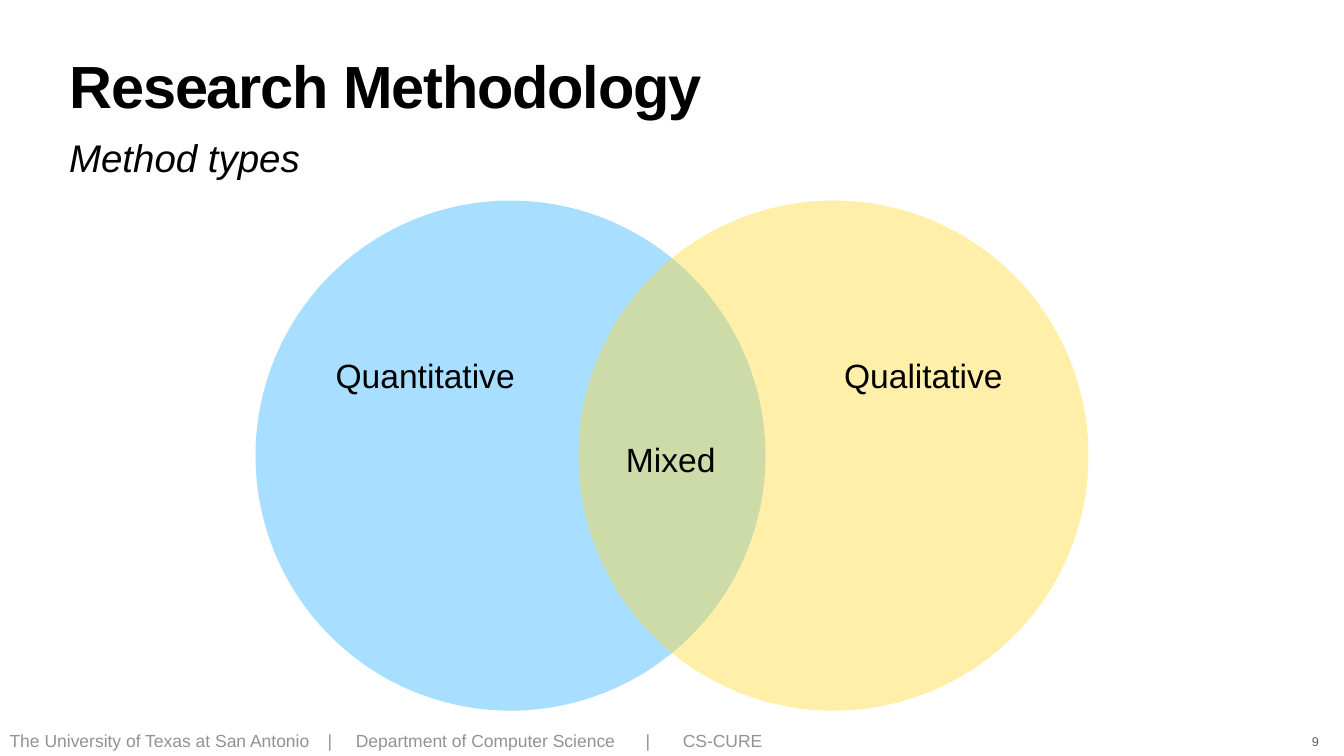
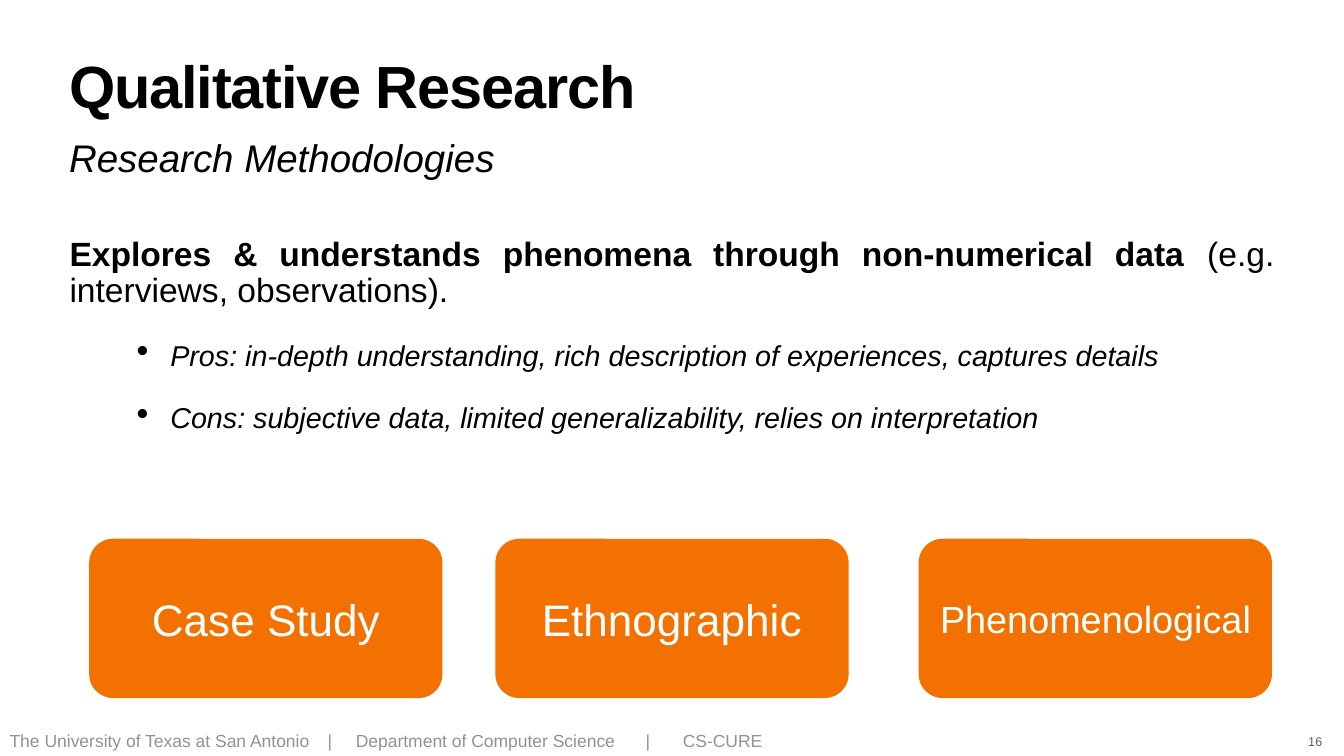
from typing import NamedTuple, Optional

from lxml.etree import SubElement
from pptx import Presentation
from pptx.dml.color import RGBColor
from pptx.enum.shapes import MSO_SHAPE
from pptx.enum.text import MSO_ANCHOR, MSO_AUTO_SIZE, PP_ALIGN
from pptx.oxml.ns import qn
from pptx.util import Inches, Pt

COLORS = {
    "ink": "000000",
    "foot": "929292",
    "page": "5E5E5E",
    "blue": "00A1FF",
    "gold": "FFD932",
    "orange": "F27100",
    "white": "FFFFFF",
}
FONT = "Arial"
LEFT, WIDE = 1.32, 24.03
FOOT = "\t".join(["The University of Texas at San Antonio", "|",
                  "Department of Computer Science", "|", "CS-CURE"])
STOPS = (6.31, 6.87, 12.62, 13.36)


class Box(NamedTuple):
    left: float
    top: float
    width: float
    height: float


class Style(NamedTuple):
    size: float
    color: str = "ink"
    bold: bool = False
    slant: bool = False


class Circle(NamedTuple):
    left: float
    color: str
    alpha: int


class Label(NamedTuple):
    text: str
    box: Box


class Card(NamedTuple):
    left: float
    text: str
    size: float
    box: Optional[Box] = None


CIRCLES = (Circle(5.07, "blue", 34), Circle(11.48, "gold", 42))
LABELS = (
    Label("Quantitative", Box(6.6, 7.06, 3.71, 0.88)),
    Label("Qualitative", Box(16.69, 7.06, 3.27, 0.88)),
    Label("Mixed", Box(12.36, 8.72, 1.95, 0.88)),
)
CARDS = (
    Card(1.77, "Case Study", 63),
    Card(9.83, "Ethnographic", 63, Box(10.56, 11.69, 5.54, 1.16)),
    Card(18.23, "Phenomenological", 54, Box(18.46, 11.76, 6.56, 1.02)),
)
POINTS = (
    "Pros: in-depth understanding, rich description of experiences, captures details",
    "Cons: subjective data, limited generalizability, relies on interpretation",
)


def place(shape, box: Box) -> None:
    shape.left, shape.top, shape.width, shape.height = map(Inches, box)


def setup(shape, anchor=MSO_ANCHOR.TOP, wrap: bool = True,
          grow: bool = False, pad: float = 0.06):
    frame = shape.text_frame
    frame.auto_size = MSO_AUTO_SIZE.SHAPE_TO_FIT_TEXT if grow else MSO_AUTO_SIZE.NONE
    frame.word_wrap = wrap
    frame.vertical_anchor = anchor
    frame.margin_left = frame.margin_right = Inches(pad)
    frame.margin_top = frame.margin_bottom = Inches(pad)
    return frame


def add_run(para, text: str, style: Style):
    run = para.add_run()
    run.text = text
    font = run.font
    font.name, font.size = FONT, Pt(style.size)
    font.bold, font.italic = style.bold, style.slant
    font.color.rgb = RGBColor.from_string(COLORS[style.color])
    return run


def add_text(slide, box: Box, text: str, style: Style, align=PP_ALIGN.LEFT,
             space: float = 1.0, **setting):
    shape = slide.shapes.add_textbox(*map(Inches, box))
    para = setup(shape, **setting).paragraphs[0]
    para.alignment, para.line_spacing = align, space
    add_run(para, text, style)
    return para


def add_form(slide, kind, box: Box, color: str):
    shape = slide.shapes.add_shape(kind, *map(Inches, box))
    shape.shadow.inherit = False
    shape.fill.solid()
    shape.fill.fore_color.rgb = RGBColor.from_string(COLORS[color])
    shape.line.fill.background()
    return shape


def add_stops(para) -> None:
    tabs = SubElement(para._p.get_or_add_pPr(), qn("a:tabLst"))
    for stop in STOPS:
        SubElement(tabs, qn("a:tab"), pos=str(Inches(stop)), algn="l")


def add_bullet(para) -> None:
    props = para._p.get_or_add_pPr()
    props.set("marL", str(Inches(2)))
    props.set("indent", str(Inches(-0.67)))
    SubElement(props, qn("a:buSzPct"), val="123000")
    SubElement(props, qn("a:buChar"), char="•")


def add_slide(deck, title: str, topic: str, page: str, mark: Box):
    slide = deck.slides.add_slide(deck.slide_layouts[5])
    head = slide.shapes.title
    place(head, Box(LEFT, 1.18, WIDE, 1.57))
    para = setup(head).paragraphs[0]
    para.alignment, para.line_spacing = PP_ALIGN.LEFT, 0.8
    run = add_run(para, title, Style(85, bold=True))
    run._r.get_or_add_rPr().set("spc", "-170")
    add_text(slide, Box(LEFT, 2.6, WIDE, 1.02), topic,
             Style(55, slant=True), pad=0.05)
    foot = add_text(slide, Box(0.13, 14.45, 25.48, 0.52), FOOT,
                    Style(25, "foot"), space=0.9,
                    anchor=MSO_ANCHOR.MIDDLE, grow=True)
    add_stops(foot)
    add_text(slide, mark, page, Style(18, "page"), PP_ALIGN.CENTER,
             anchor=MSO_ANCHOR.BOTTOM, wrap=False, grow=True)
    return slide


def draw_venn(slide) -> None:
    for item in CIRCLES:
        disc = add_form(slide, MSO_SHAPE.OVAL,
                        Box(item.left, 3.98, 10.12, 10.12), item.color)
        tint = disc._element.spPr.find(".//" + qn("a:srgbClr"))
        SubElement(tint, qn("a:alpha"), val=str(item.alpha * 1000))
    for label in LABELS:
        add_text(slide, label.box, label.text, Style(48), space=0.9,
                 anchor=MSO_ANCHOR.MIDDLE, wrap=False, grow=True)


def draw_body(slide) -> None:
    para = add_text(slide, Box(LEFT, 4.65, WIDE, 5),
                    "Explores & understands phenomena through non-numerical data ",
                    Style(48, bold=True), PP_ALIGN.JUSTIFY, 0.9)
    add_run(para, "(e.g. interviews, observations).", Style(48))
    frame = para._parent
    for point in POINTS:
        para = frame.add_paragraph()
        para.level = 2
        para.alignment, para.line_spacing = PP_ALIGN.JUSTIFY, 0.9
        para.space_before = Pt(45)
        add_bullet(para)
        add_run(para, point, Style(41, slant=True))


def draw_cards(slide) -> None:
    for card in CARDS:
        form = add_form(slide, MSO_SHAPE.ROUNDED_RECTANGLE,
                        Box(card.left, 10.69, 7.01, 3.16), "orange")
        form.adjustments[0] = 0.15
        style = Style(card.size, "white")
        if card.box:
            add_text(slide, card.box, card.text, style, PP_ALIGN.CENTER,
                     anchor=MSO_ANCHOR.MIDDLE, wrap=False, grow=True)
        else:
            para = setup(form, MSO_ANCHOR.MIDDLE).paragraphs[0]
            para.alignment = PP_ALIGN.CENTER
            add_run(para, card.text, style)


def main() -> None:
    deck = Presentation()
    deck.slide_width, deck.slide_height = Inches(26.67), Inches(15)
    draw_venn(add_slide(deck, "Research Methodology", "Method types",
                        "9", Box(25.97, 14.51, 0.26, 0.41)))
    study = add_slide(deck, "Qualitative Research", "Research Methodologies",
                      "16", Box(25.9, 14.51, 0.4, 0.41))
    draw_body(study)
    draw_cards(study)
    deck.save("out.pptx")


if __name__ == "__main__":
    main()
